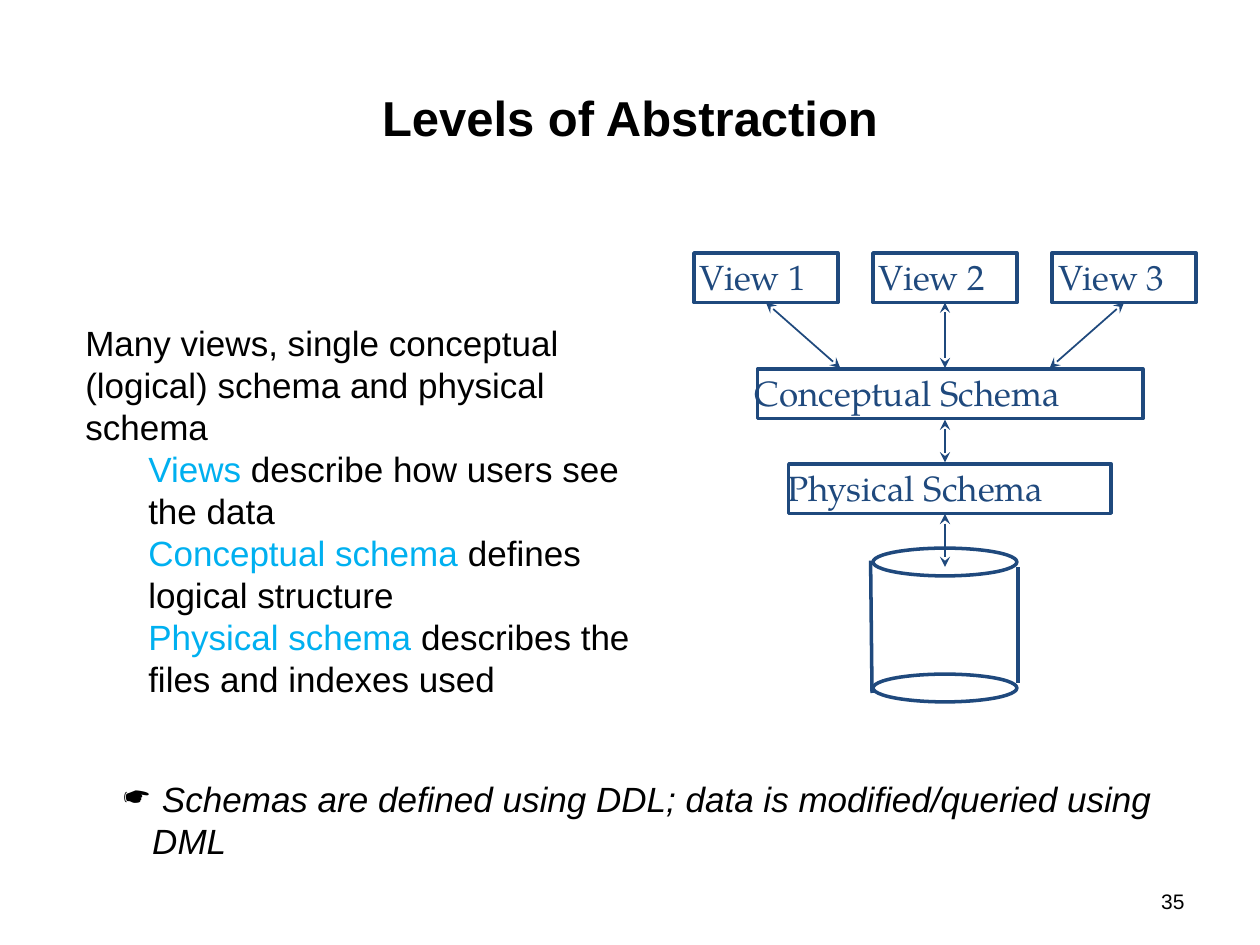
import pptx
import pptx.dml.color
import pptx.enum.shapes
import pptx.enum.text
import pptx.oxml.ns
import pptx.util
from lxml import etree

Cm, Pt = pptx.util.Cm, pptx.util.Pt
RGB = pptx.dml.color.RGBColor
MSO = pptx.enum.shapes.MSO_SHAPE
ALIGN = pptx.enum.text.PP_ALIGN
ANCHOR = pptx.enum.text.MSO_ANCHOR
qn = pptx.oxml.ns.qn

BLACK = RGB(0x00, 0x00, 0x00)
NAVY = RGB(0x1F, 0x49, 0x7D)
CYAN = RGB(0x00, 0xB0, 0xF0)

# Content
TITLE = "Levels of Abstraction"
INTRO = "Many views, single conceptual (logical) schema and physical schema"
LEVELS = [
    ("Views", " describe how users see the data"),
    ("Conceptual schema ", "defines logical structure"),
    ("Physical schema ", "describes the files and indexes used"),
]
NOTE = " Schemas are defined using DDL; data is modified/queried using DML"
NUMBER = "35"

# Diagram, in cm
AXIS = 19.05
VIEW_W, VIEW_STEP, VIEW_Y, BOX_H = 2.9, 3.61, 5.1, 1.0
VIEWS = ["View 1", "View 2", "View 3"]
VIEW_ARROW_STEP = 2.11
SCHEMAS = [  # text, left, top, width, label shift
    ("Conceptual Schema", 15.27, 7.44, 7.77, -0.31),
    ("Physical Schema", 15.9, 9.35, 6.5, -0.28),
]
DISK_TOPS = [11.05, 13.59]
DISK_SIDES = [(17.55, 11.3, 17.58, 13.97), (20.52, 11.43, 20.52, 13.77)]
SCHEMA_ARROWS = [(8.46, 9.32), (10.36, 11.43)]

prs = pptx.Presentation()
prs.slide_width, prs.slide_height = Cm(25.4), Cm(19.05)
slide = prs.slides.add_slide(prs.slide_layouts[6])


def style(p, size, color=BLACK, name="Arial"):
    p.font.size, p.font.name = Pt(size), name
    p.font.color.rgb = color


def add_text(text, x, y, w, h, size=20, color=BLACK, name="Arial"):
    tf = slide.shapes.add_textbox(Cm(x), Cm(y), Cm(w), Cm(h)).text_frame
    tf.word_wrap = True
    p = tf.paragraphs[0]
    p.text = text
    style(p, size, color, name)
    return tf


def add_outline(kind, x, y, w, h):
    sp = slide.shapes.add_shape(kind, Cm(x), Cm(y), Cm(w), Cm(h))
    sp.shadow.inherit = False
    sp.fill.background()
    sp.line.color.rgb, sp.line.width = NAVY, Pt(2)
    return sp


def add_box(text, x, y, w, shift):
    add_text(text, x + shift, y - 0.07, w - 0.13, 1.09,
             color=NAVY, name="TeX Gyre Pagella")
    return add_outline(MSO.RECTANGLE, x, y, w, BOX_H)


def add_line(x1, y1, x2, y2, width=2, arrows=False):
    cx = slide.shapes.add_connector(
        pptx.enum.shapes.MSO_CONNECTOR.STRAIGHT, Cm(x1), Cm(y1), Cm(x2), Cm(y2))
    cx.line.color.rgb, cx.line.width = NAVY, Pt(width)
    if arrows:
        ln = cx.line._get_or_add_ln()
        for end in ("a:headEnd", "a:tailEnd"):
            etree.SubElement(ln, qn(end), type="stealth")
    etree.SubElement(cx._element.spPr, qn("a:effectLst"))
    return cx


# Title and slide number
tf = add_text(TITLE, 1.27, 0.76, 22.86, 3.18, size=28)
tf.vertical_anchor = ANCHOR.MIDDLE
tf.paragraphs[0].alignment = ALIGN.CENTER
tf.paragraphs[0].font.bold = True

tf = add_text(NUMBER, 18.21, 17.65, 5.92, 1.02, size=12)
tf.vertical_anchor = ANCHOR.MIDDLE
tf.paragraphs[0].alignment = ALIGN.RIGHT

# Explanation of the levels
tf = add_text(INTRO, 1.47, 6.35, 12.07, 7.87)
for term, meaning in LEVELS:
    p = tf.add_paragraph()
    p.level = 1
    style(p, 20)
    p._p.get_or_add_pPr().set("marL", str(Cm(1.27)))
    r = p.add_run()
    r.text = term
    r.font.color.rgb = CYAN
    p.add_run().text = meaning

# Closing note with a hand bullet
p = add_text(NOTE, 2.24, 15.54, 22.89, 1.09).paragraphs[0]
p.font.italic = True
pPr = p._p.get_or_add_pPr()
pPr.set("marL", str(Cm(0.58)))
pPr.set("indent", str(-Cm(0.58)))
bullet = etree.Element(qn("a:buChar"), char="☛")
pPr.insert(0, bullet)

# Disk
for y in DISK_TOPS:
    add_outline(MSO.OVAL, AXIS - VIEW_W / 2, y, VIEW_W, 0.56)
for side in DISK_SIDES:
    add_line(*side)

# Schemas, then the views with arrows to the conceptual schema
for text, x, y, w, shift in SCHEMAS:
    add_box(text, x, y, w, shift)
for i, text in enumerate(VIEWS, start=-1):
    center = AXIS + i * VIEW_STEP
    box = add_box(text, center - VIEW_W / 2, VIEW_Y, VIEW_W, -0.13)
    arrow = add_line(center, VIEW_Y + BOX_H, AXIS + i * VIEW_ARROW_STEP, 7.42,
                     width=1, arrows=True)
    arrow.begin_connect(box, 2)
for y1, y2 in SCHEMA_ARROWS:
    add_line(AXIS, y1, AXIS, y2, width=1, arrows=True)

prs.save("out.pptx")
